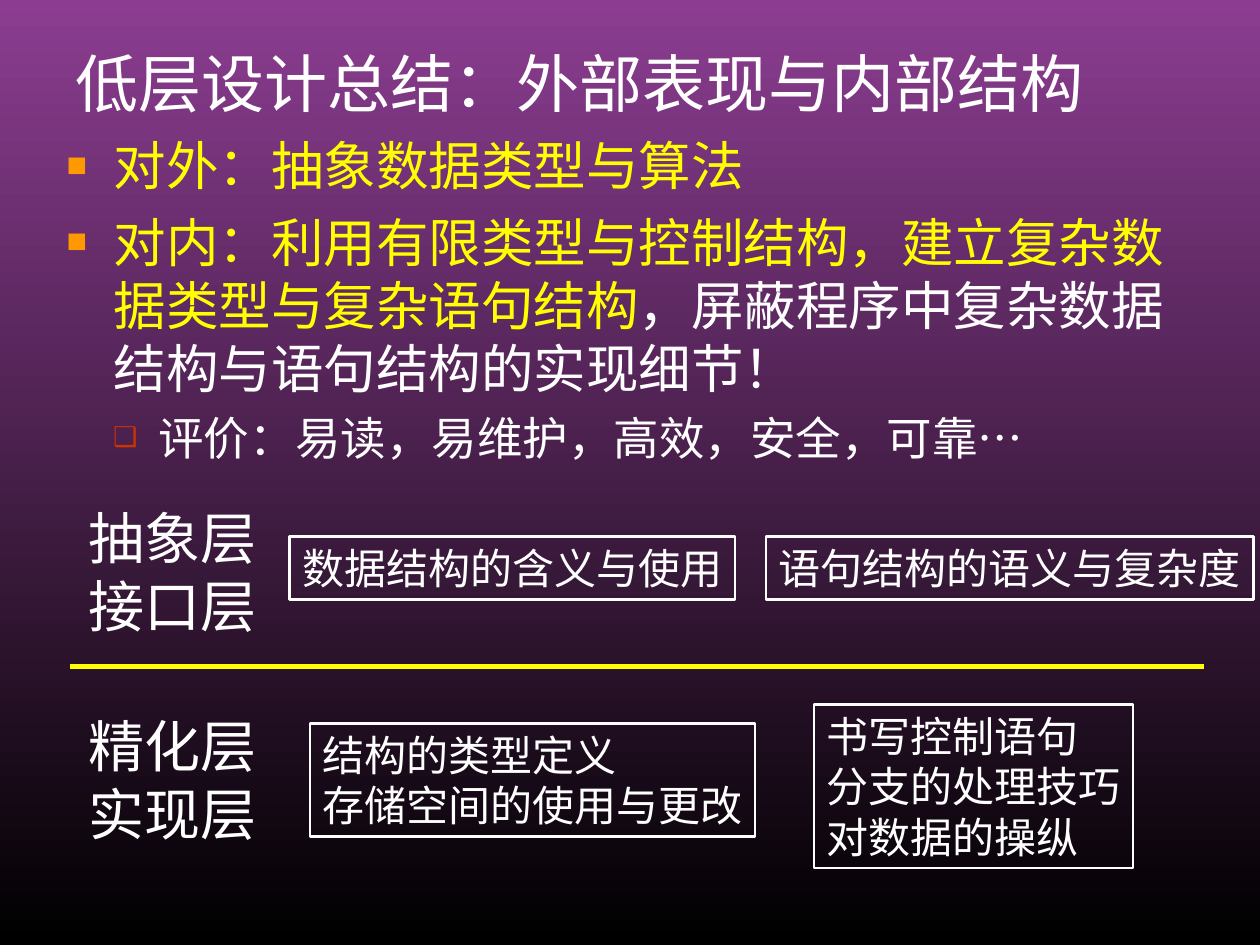
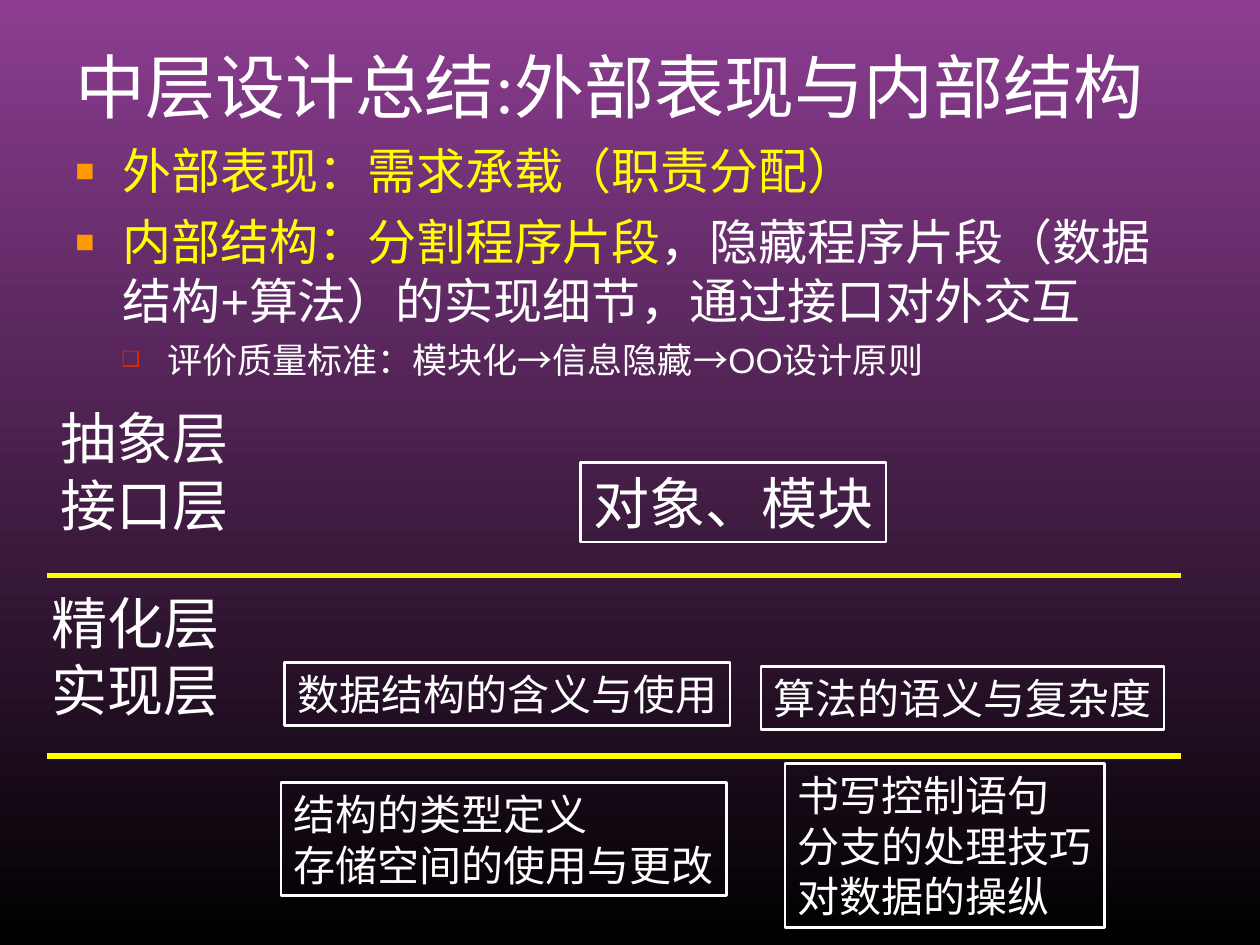
import pptx
import pptx.dml.color
import pptx.enum.dml
import pptx.enum.lang
import pptx.enum.shapes
import pptx.enum.text
import pptx.oxml
import pptx.oxml.ns
import pptx.util
from lxml import etree

Pt = pptx.util.Pt
WHITE, YELLOW = "FFFFFF", "FFFF00"
BLACK, PURPLE = "000000", "8C3D91"
BODY_FONT, TITLE_FONT = "Arial", "Times New Roman"
INSET_X, INSET_Y = 7.2, 3.6
LINE_HEIGHT = 1.2

# Per outline level: left margin, hanging indent, bullet, bullet colour, bullet size in %
LEVELS = [(27, 27, "■", "FF9900", 65), (52.5, 26, "❑", "CC3300", 60)]

# Wording that both slides use
ABSTRACT_LAYER = ["抽象层", "接口层"]
REFINED_LAYER = ["精化层", "实现层"]
DATA_MEANING = ["数据结构的含义与使用"]
DATA_DEFINITION = ["结构的类型定义", "存储空间的使用与更改"]
STATEMENT_WRITING = ["书写控制语句", "分支的处理技巧", "对数据的操纵"]


def rgb(color):
    return pptx.dml.color.RGBColor.from_string(color)


class Deck:
    def __init__(self):
        self.presentation = pptx.Presentation()
        self.presentation.slide_width = Pt(720)
        self.presentation.slide_height = Pt(540)
        self.slide = None

    def new_slide(self):
        self.slide = self.presentation.slides.add_slide(self.presentation.slide_layouts[6])
        fill = self.slide.background.fill
        fill.gradient()
        fill.gradient_angle = 90
        for stop, color in zip(fill.gradient_stops, (BLACK, PURPLE)):
            stop.color.rgb = rgb(color)

    def run(self, paragraph, text, size, color=WHITE, font=BODY_FONT):
        run = paragraph.add_run()
        run.text = text
        run.font.name = font
        run.font.size = Pt(size)
        run.font.color.rgb = rgb(color)
        run.font.language_id = pptx.enum.lang.MSO_LANGUAGE_ID.SIMPLIFIED_CHINESE

    def frame(self, shape, wrap):
        frame = shape.text_frame
        frame.word_wrap = wrap
        frame.vertical_anchor = pptx.enum.text.MSO_ANCHOR.TOP
        frame.margin_left = frame.margin_right = Pt(INSET_X)
        frame.margin_top = frame.margin_bottom = Pt(INSET_Y)
        return frame

    def paragraphs(self, frame, items):
        """Yield one paragraph of the frame for each item."""
        for index, item in enumerate(items):
            yield (frame.add_paragraph() if index else frame.paragraphs[0]), item

    def title(self, text, size):
        heading = self.slide.shapes.add_textbox(Pt(36), Pt(21.6), Pt(648), Pt(90))
        self.run(self.frame(heading, True).paragraphs[0], text, size, font=TITLE_FONT)

    def bullet(self, paragraph, level):
        margin, hanging, char, color, percent = LEVELS[level]
        paragraph.level = level
        properties = paragraph._p.get_or_add_pPr()
        properties.set("marL", str(Pt(margin)))
        properties.set("indent", str(-Pt(hanging)))
        namespace = pptx.oxml.ns.nsdecls("a")
        for xml in (f'<a:buClr {namespace}><a:srgbClr val="{color}"/></a:buClr>',
                    f'<a:buSzPct {namespace} val="{percent * 1000}"/>',
                    f'<a:buFont {namespace} typeface="{BODY_FONT}"/>',
                    f'<a:buChar {namespace} char="{char}"/>'):
            properties.append(pptx.oxml.parse_xml(xml))

    def outline(self, left, top, points):
        """Each point is (level, size, [(text, color), ...])."""
        body = self.slide.shapes.add_textbox(Pt(left), Pt(top), Pt(648), Pt(357))
        frame = self.frame(body, True)
        for paragraph, (level, size, parts) in self.paragraphs(frame, points):
            self.bullet(paragraph, level)
            if paragraph._p is not frame.paragraphs[0]._p:
                paragraph.space_before = Pt(size / 4)
            for text, color in parts:
                self.run(paragraph, text, size, color)

    def fill_lines(self, shape, lines, size):
        frame = self.frame(shape, False)
        frame.auto_size = pptx.enum.text.MSO_AUTO_SIZE.SHAPE_TO_FIT_TEXT
        for paragraph, line in self.paragraphs(frame, lines):
            paragraph.alignment = pptx.enum.text.PP_ALIGN.LEFT
            self.run(paragraph, line, size)

    def area(self, left, top, lines, size):
        """Place and size that fit full-width characters."""
        width = max(map(len, lines)) * size + 2 * INSET_X
        height = len(lines) * size * LINE_HEIGHT + 2 * INSET_Y
        return Pt(left), Pt(top), Pt(width), Pt(height)

    def layer_label(self, left, top, lines):
        label = self.slide.shapes.add_textbox(*self.area(left, top, lines, 32))
        self.fill_lines(label, lines, 32)

    def framed_box(self, left, top, lines, size=24):
        box = self.slide.shapes.add_shape(pptx.enum.shapes.MSO_SHAPE.RECTANGLE,
                                          *self.area(left, top, lines, size))
        box.shadow.inherit = False
        box.fill.background()
        box.line.color.rgb = rgb(WHITE)
        box.line.width = Pt(1.5)
        self.fill_lines(box, lines, size)

    def divider(self, left, y):
        line = self.slide.shapes.add_connector(pptx.enum.shapes.MSO_CONNECTOR.STRAIGHT,
                                               Pt(left), Pt(y), Pt(left + 648), Pt(y))
        line.line.color.rgb = rgb(YELLOW)
        line.line.width = Pt(3)
        etree.SubElement(line._element.spPr, pptx.oxml.ns.qn("a:effectLst"))


def low_level_slide(deck):
    deck.new_slide()
    deck.title("低层设计总结：外部表现与内部结构", 36)
    deck.outline(31, 72.7, [
        (0, 30, [("对外：抽象数据类型与算法", YELLOW)]),
        (0, 30, [("对内：利用有限类型与控制结构，建立复杂数据类型与复杂语句结构", YELLOW),
                 ("，屏蔽程序中复杂数据结构与语句结构的实现细节！", WHITE)]),
        (1, 26, [("评价：易读，易维护，高效，安全，可靠…", WHITE)]),
    ])
    deck.divider(40.3, 380.9)

    # Interface above the divider, implementation below
    deck.layer_label(43.2, 284.4, ABSTRACT_LAYER)
    deck.layer_label(43.2, 403.2, REFINED_LAYER)
    deck.framed_box(165.6, 306.7, DATA_MEANING)
    deck.framed_box(437.8, 306.7, ["语句结构的语义与复杂度"])
    deck.framed_box(177.1, 413.3, DATA_DEFINITION)
    deck.framed_box(465.1, 402.5, STATEMENT_WRITING)


def middle_level_slide(deck):
    deck.new_slide()
    deck.title("中层设计总结:外部表现与内部结构", 40)
    deck.outline(36, 77, [
        (0, 28, [("外部表现：需求承载（职责分配）", YELLOW)]),
        (0, 28, [("内部结构：分割程序片段", YELLOW),
                 ("，隐藏程序片段（数据结构+算法）的实现细节，通过接口对外交互", WHITE)]),
        (1, 20, [("评价质量标准：模块化→信息隐藏→OO设计原则", WHITE)]),
    ])

    # Three layers split by two dividers
    for y in (329, 432):
        deck.divider(26.6, y)
    deck.layer_label(27.4, 226.8, ABSTRACT_LAYER)
    deck.layer_label(22.3, 332.6, REFINED_LAYER)
    deck.framed_box(331.9, 264.2, ["对象、模块"], 32)
    deck.framed_box(162.7, 378.7, DATA_MEANING)
    deck.framed_box(434.9, 380.9, ["算法的语义与复杂度"])
    deck.framed_box(160.6, 447.1, DATA_DEFINITION)
    deck.framed_box(448.6, 436.3, STATEMENT_WRITING)


def main():
    deck = Deck()
    low_level_slide(deck)
    middle_level_slide(deck)
    deck.presentation.save("out.pptx")


if __name__ == "__main__":
    main()
